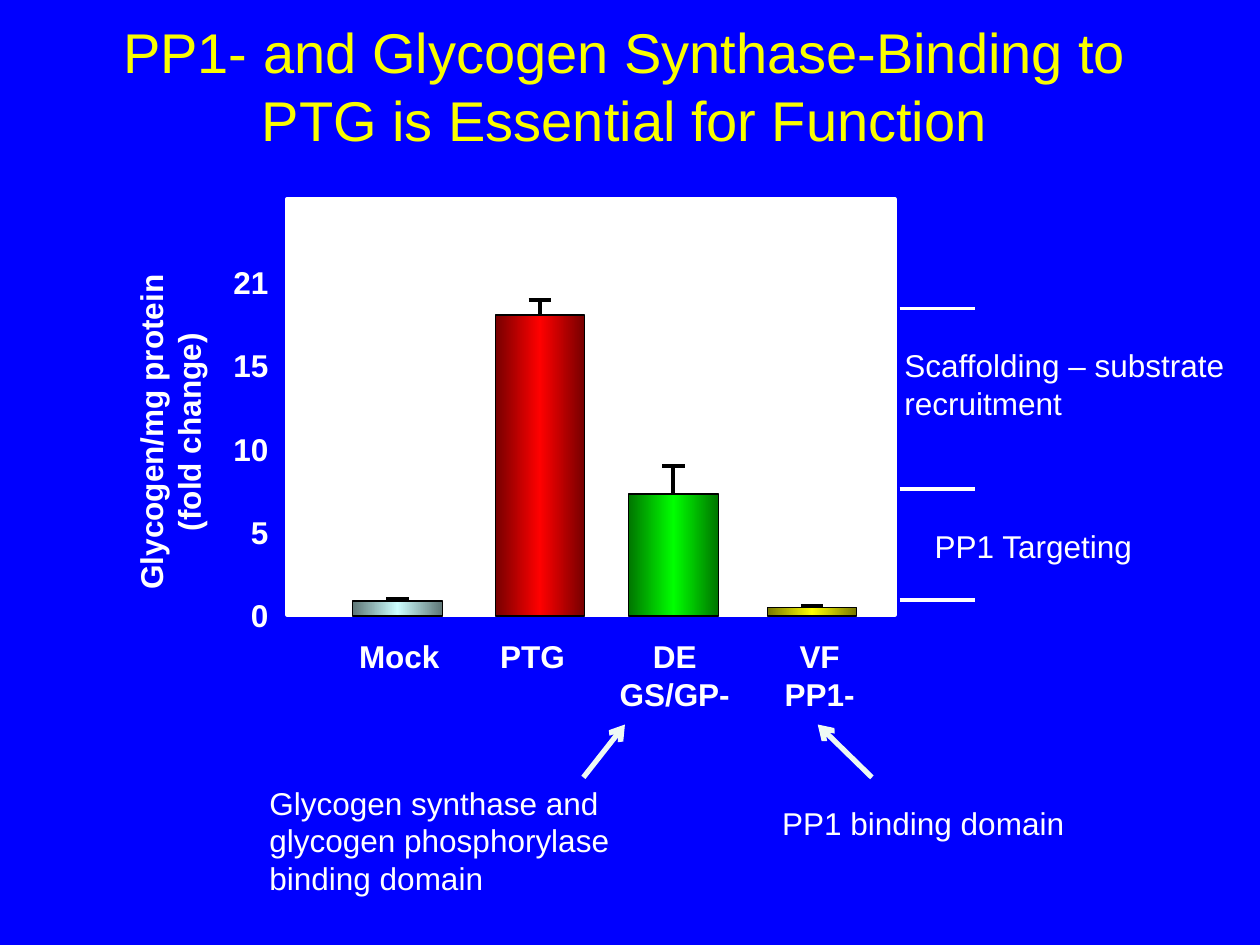
from copy import deepcopy

from lxml import etree
from pptx import Presentation
from pptx.dml.color import RGBColor
from pptx.enum.shapes import MSO_CONNECTOR, MSO_SHAPE
from pptx.enum.text import MSO_ANCHOR, PP_ALIGN
from pptx.oxml.ns import qn
from pptx.util import Inches, Pt

LEFT, CENTER, RIGHT = PP_ALIGN.LEFT, PP_ALIGN.CENTER, PP_ALIGN.RIGHT
MIDDLE = MSO_ANCHOR.MIDDLE
RECT = MSO_SHAPE.RECTANGLE
STRAIGHT = MSO_CONNECTOR.STRAIGHT
FONT = "Arial"
BLUE, YELLOW, WHITE, BLACK, PALE = "0000FF", "FAFD00", "FFFFFF", "000000", "EEF9F4"

BAR_WIDTH = 0.71
# left, top, edge colour, middle colour, top of error bar
BARS = [
    (2.8, 4.77, "5E7676", "CCFFFF", 4.75),
    (3.93, 2.5, "760000", "FF0000", 2.38),
    (4.99, 3.92, "007600", "00FF00", 3.7),
    (6.09, 4.82, "767600", "FFFF00", 4.81),
]
# left, width, lines, alignment
CATEGORIES = [
    (2.85, 0.64, "Mock", LEFT),
    (3.97, 0.58, "PTG", LEFT),
    (4.78, 1.15, "DE\nGS/GP-", CENTER),
    (6.09, 0.83, "VF\nPP1-", CENTER),
]


def color(hex_string):
    return RGBColor.from_string(hex_string)


def format_text(tf, size, hex_color, bold=False, align=LEFT):
    for p in tf.paragraphs:
        p.alignment = align
        for r in p.runs:
            r.font.name = FONT
            r.font.size = Pt(size)
            r.font.bold = bold
            r.font.color.rgb = color(hex_color)


def add_text(slide, box, text, bold=False, align=LEFT, inset=True, wrap=False):
    sp = slide.shapes.add_textbox(*map(Inches, box))
    tf = sp.text_frame
    tf.word_wrap = wrap
    if not inset:
        tf.margin_left = tf.margin_right = tf.margin_top = tf.margin_bottom = 0
    tf.text = text
    format_text(tf, 18, WHITE, bold, align)
    return sp


def add_line(slide, start, end, hex_color, width, arrow=False):
    line = slide.shapes.add_connector(STRAIGHT, *map(Inches, start + end))
    line.line.color.rgb = color(hex_color)
    line.line.width = Pt(width)
    if arrow:
        etree.SubElement(line.line._get_or_add_ln(), qn("a:tailEnd"), type="arrow")
    etree.SubElement(line._element.spPr, qn("a:effectLst"))


def add_rect(slide, box, line_color, line_width):
    sp = slide.shapes.add_shape(RECT, *map(Inches, box))
    sp.shadow.inherit = False
    sp.line.color.rgb = color(line_color)
    sp.line.width = Pt(line_width)
    return sp


def fill_gradient(sp, edge, middle):
    sp.fill.gradient()
    sp.fill.gradient_angle = 0
    stops = sp._element.spPr.find(".//" + qn("a:gsLst"))
    stops.append(deepcopy(stops[0]))
    for stop, position, hex_color in zip(sp.fill.gradient_stops, (0, 0.5, 1), (edge, middle, edge)):
        stop.position = position
        stop.color.rgb = color(hex_color)


def add_title(slide, box):
    title = slide.shapes.title
    title.left, title.top, title.width, title.height = map(Inches, box)
    tf = title.text_frame
    tf.text = "PP1- and Glycogen Synthase-Binding to PTG is Essential for Function"
    tf.vertical_anchor = MIDDLE
    format_text(tf, 32, YELLOW, align=CENTER)


def add_bar_plot(slide, box):
    left, top, width, height = box
    panel = add_rect(slide, box, WHITE, 2.25)
    panel.fill.solid()
    panel.fill.fore_color.rgb = color(WHITE)

    # Bars with error bars
    base = top + height + 0.01
    for x, y, edge, middle, error_top in BARS:
        bar = add_rect(slide, (x, y, BAR_WIDTH, base - y), BLACK, 0.75)
        fill_gradient(bar, edge, middle)
        mid = x + BAR_WIDTH / 2
        if y - error_top > 0.05:
            add_line(slide, (mid, y), (mid, error_top), BLACK, 2.25)
        add_line(slide, (mid - 0.09, error_top), (mid + 0.09, error_top), BLACK, 2)

    # Value axis
    for i, label in enumerate(("21", "15", "10", "5", "0")):
        add_text(slide, (left - 0.43, top + 0.51 + 0.66 * i, 0.28, 0.3), label,
                 bold=True, align=RIGHT, inset=False)
    axis = add_text(slide, (left - 2.22, top + 1.55, 2.57, 0.6),
                    "Glycogen/mg protein\n(fold change)", bold=True, align=CENTER, inset=False)
    axis.rotation = 270

    # Category labels
    for x, w, label, align in CATEGORIES:
        add_text(slide, (x, base + 0.17, w, 0.3 * len(label.split("\n"))), label,
                 bold=True, align=align, inset=False)


def add_effect_levels(slide, box):
    left, top, width, height = box
    for y in (top, top + 1.43, top + height):
        add_line(slide, (left, y), (left + width, y), WHITE, 2)
    add_text(slide, (left - 0.06, top + 0.25, 2.97, 0.7), "Scaffolding – substrate\nrecruitment")
    add_text(slide, (left + 0.18, top + 1.68, 1.88, 0.4), "PP1 Targeting")


def add_domain_note(slide, box, text, start, end):
    add_text(slide, box, text, wrap=True)
    add_line(slide, start, end, PALE, 3, arrow=True)


def main():
    prs = Presentation()
    prs.slide_width, prs.slide_height = Inches(10), Inches(7.5)
    slide = prs.slides.add_slide(prs.slide_layouts[5])
    slide.background.fill.solid()
    slide.background.fill.fore_color.rgb = color(BLUE)

    add_title(slide, (0.71, 0.05, 8.5, 1.25))
    add_bar_plot(slide, (2.28, 1.58, 4.82, 3.3))
    add_effect_levels(slide, (7.14, 2.45, 0.6, 2.31))
    add_domain_note(slide, (2.04, 6.17, 3.73, 1.01),
                    "Glycogen synthase and glycogen phosphorylase binding domain",
                    (4.63, 6.17), (4.96, 5.75))
    add_domain_note(slide, (6.11, 6.33, 3.73, 0.4), "PP1 binding domain",
                    (6.92, 6.17), (6.49, 5.75))
    prs.save("out.pptx")


if __name__ == "__main__":
    main()
